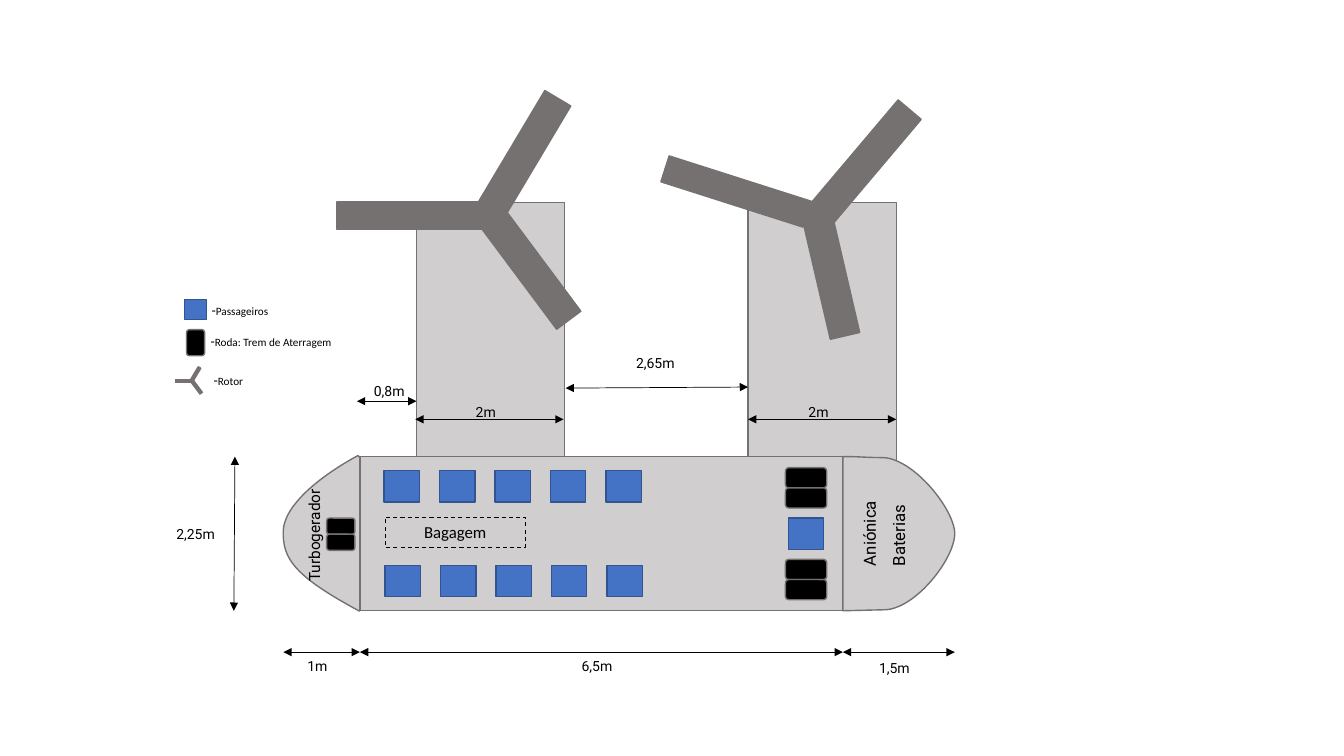
import math

from lxml import etree
from pptx import Presentation
from pptx import util as u
from pptx.dml.color import RGBColor
from pptx.enum import dml, shapes, text
from pptx.oxml import ns

# Colours
HULL = RGBColor(0xD0, 0xCE, 0xCE)
STEEL = RGBColor(0x76, 0x71, 0x71)
SEAT = RGBColor(0x44, 0x72, 0xC4)
SEAT_EDGE = RGBColor(0x32, 0x54, 0x91)
BLACK = RGBColor(0, 0, 0)

# Grid: one column and one row per inch
CELL = u.Inches(1)
COLUMNS, ROWS = 13.33, 7.5

# Aircraft edges on the grid
NOSE_TIP, NOSE_END, TAIL_START, TAIL_TIP = 2.81, 3.57, 8.36, 9.47
DECK_TOP, DECK_BOTTOM, DECK_MIDDLE = 4.53, 6.06, 5.29
WING_LEFTS, WING_TOP, WING_WIDTH = (7.42, 4.13), 2.01, 1.47

RECTANGLE = shapes.MSO_SHAPE.RECTANGLE
ROUNDED = shapes.MSO_SHAPE.ROUNDED_RECTANGLE


def grid(*cells):
    return [round(cell * CELL) for cell in cells]


def paint(shape, fill, edge, width=1):
    shape.shadow.inherit = False
    if fill is None:
        shape.fill.background()
    else:
        shape.fill.solid()
        shape.fill.fore_color.rgb = fill
    shape.line.color.rgb = edge
    shape.line.width = u.Pt(width)


def add_block(slide, kind, box, fill, edge, width=1):
    shape = slide.shapes.add_shape(kind, *grid(*box))
    paint(shape, fill, edge, width)
    return shape


def bezier(start, first, second, end, steps=24):
    points = []
    for step in range(1, steps + 1):
        t = step / steps
        weights = ((1 - t) ** 3, 3 * t * (1 - t) ** 2, 3 * t * t * (1 - t), t ** 3)
        points.append(tuple(
            sum(weight * value for weight, value in zip(weights, axis))
            for axis in zip(start, first, second, end)))
    return points


def add_outline(slide, start, curves, corners):
    """Close an outline made of chained curves, then straight corners."""
    points = [start]
    for curve in curves:
        points += bezier(points[-1], *curve)
    points = [grid(*point) for point in points + corners]
    builder = slide.shapes.build_freeform(*points[0], scale=1.0)
    builder.add_line_segments(points[1:], close=True)
    paint(builder.convert_to_shape(), HULL, STEEL)


def add_arrow(slide, start, end):
    arrow = slide.shapes.add_connector(
        shapes.MSO_CONNECTOR.STRAIGHT, *grid(*start, *end))
    arrow.line.color.rgb = BLACK
    arrow.line.width = u.Pt(0.5)
    properties = arrow.element.spPr
    line = properties.get_or_add_ln()
    for tag in ("a:headEnd", "a:tailEnd"):
        etree.SubElement(line, ns.qn(tag), type="triangle")
    etree.SubElement(properties, ns.qn("a:effectLst"))


def add_label(slide, box, wording, size=10, font="Roboto", rotation=0):
    label = slide.shapes.add_textbox(*grid(*box))
    label.rotation = rotation
    frame = label.text_frame
    frame.word_wrap = True
    frame.vertical_anchor = text.MSO_ANCHOR.MIDDLE
    paragraph = frame.paragraphs[0]
    paragraph.text = wording
    paragraph.font.name = font
    paragraph.font.size = u.Pt(size)
    paragraph.font.color.rgb = BLACK
    return paragraph


def add_legend(slide, left, top, wording):
    paragraph = add_label(slide, (left, top, 2, 0.27), "-", font="Calibri")
    run = paragraph.add_run()
    run.text = wording
    run.font.size = u.Pt(8)


def add_seat(slide, left, top, width=0.35, height=0.31):
    add_block(slide, RECTANGLE, (left, top, width, height), SEAT, SEAT_EDGE)


def add_wheels(slide, left, top, width, height):
    for row in range(2):
        add_block(slide, ROUNDED, (left, top + row * height, width, height),
                  BLACK, STEEL)


def add_rotor(slide, blades):
    """Each blade is centre x, centre y, width, length, angle."""
    for x, y, width, length, angle in blades:
        blade = add_block(slide, RECTANGLE,
                          (x - width / 2, y - length / 2, width, length),
                          STEEL, STEEL)
        blade.rotation = angle


def add_airframe(slide):
    for left in WING_LEFTS:
        add_block(slide, RECTANGLE, (left, WING_TOP, WING_WIDTH, 3.65), HULL, STEEL)
    add_block(slide, RECTANGLE,
              (NOSE_END, DECK_TOP, TAIL_START - NOSE_END, DECK_BOTTOM - DECK_TOP),
              HULL, STEEL)
    # Tail
    add_outline(slide, (TAIL_START, DECK_TOP), [
        ((8.55, 4.53), (8.57, 4.54), (8.75, 4.54)),
        ((9.05, 4.54), (9.46, 5.04), (TAIL_TIP, DECK_MIDDLE)),
        ((9.47, 5.55), (9.07, 6.05), (8.77, 6.05)),
    ], [(TAIL_START, DECK_BOTTOM)])
    # Nose
    add_outline(slide, (3.55, 4.52), [
        ((3.13, 4.75), (2.8, 5.04), (NOSE_TIP, DECK_MIDDLE)),
        ((2.81, 5.55), (2.93, 5.72), (3.56, DECK_BOTTOM)),
    ], [(NOSE_END, DECK_BOTTOM), (NOSE_END, 4.54)])


def add_cabin(slide):
    for first_left, top in ((3.81, 4.67), (3.82, 5.61)):
        for column in range(5):
            add_seat(slide, first_left + 0.55 * column, top)
    add_seat(slide, 7.82, 5.14)
    for wheels in ((3.24, 5.14, 0.28, 0.16), (7.79, 4.64, 0.41, 0.2),
                   (7.79, 5.55, 0.41, 0.2)):
        add_wheels(slide, *wheels)
    for left, width, wording, size in ((8.39, 1.04, "Baterias", 12),
                                       (8.1, 1.04, "Aniónica", 12),
                                       (2.44, 1.35, "Turbogerador", 11)):
        add_label(slide, (left, 5.03, width, 0.33), wording, size, rotation=270)
    # Luggage area
    luggage = (3.82, 5.13, 1.39, 0.3)
    area = add_block(slide, RECTANGLE, luggage, None, BLACK, 0.75)
    area.line.dash_style = dml.MSO_LINE.DASH
    paragraph = area.text_frame.paragraphs[0]
    paragraph.text = "Bagagem"
    paragraph.alignment = text.PP_ALIGN.CENTER
    paragraph.font.name = "Calibri"
    paragraph.font.size = u.Pt(12)
    paragraph.font.color.rgb = BLACK


def add_dimensions(slide):
    # Arrow start, arrow end, label left, top and width, wording
    for start, end, label, wording in (
        ((NOSE_TIP, 6.47), (NOSE_END, 6.47), (2.95, 6.47, 0.47), "1m"),
        ((NOSE_END, 6.47), (TAIL_START, 6.47), (5.67, 6.47, 0.59), "6,5m"),
        ((TAIL_START, 6.47), (TAIL_TIP, 6.47), (8.62, 6.49, 0.59), "1,5m"),
        ((2.33, DECK_TOP), (2.32, DECK_BOTTOM), (1.65, 5.16, 0.69), "2,25m"),
        ((5.61, 3.85), (7.42, 3.84), (6.21, 3.47, 0.81), "2,65m"),
        ((7.42, 4.16), (8.89, 4.16), (7.92, 3.95, 0.47), "2m"),
        ((4.12, 4.16), (5.59, 4.16), (4.62, 3.95, 0.47), "2m"),
        ((4.13, 3.98), (3.54, 3.98), (3.61, 3.74, 0.67), "0,8m"),
    ):
        add_arrow(slide, start, end)
        add_label(slide, (*label, 0.27), wording)


def add_key(slide):
    add_seat(slide, 1.83, 2.97, 0.22, 0.2)
    add_block(slide, ROUNDED, (1.85, 3.27, 0.18, 0.26), BLACK, STEEL)
    add_rotor(slide, ((1.82, 3.78, 0.03, 0.16, 90),
                      (1.95, 3.84, 0.03, 0.15, 143.3),
                      (1.94, 3.71, 0.03, 0.15, 210.8)))
    add_legend(slide, 2, 2.94, "Passageiros")
    add_legend(slide, 1.99, 3.25, "Roda: Trem de Aterragem")
    add_legend(slide, 2.02, 3.63, "Rotor")


def main():
    presentation = Presentation()
    presentation.slide_width, presentation.slide_height = grid(COLUMNS, ROWS)
    slide = presentation.slides.add_slide(presentation.slide_layouts[6])
    add_airframe(slide)
    add_cabin(slide)
    add_dimensions(slide)
    add_rotor(slide, ((4.08, 2.14, 0.27, 1.48, 90), (5.24, 2.64, 0.3, 1.34, 143.3),
                      (5.19, 1.55, 0.3, 1.34, 210.8)))
    add_rotor(slide, ((8.23, 2.68, 0.3, 1.34, 346.9), (8.59, 1.6, 0.3, 1.34, 40.2),
                      (7.3, 1.9, 0.27, 1.48, 107.7)))
    add_key(slide)
    presentation.save("out.pptx")


main()
